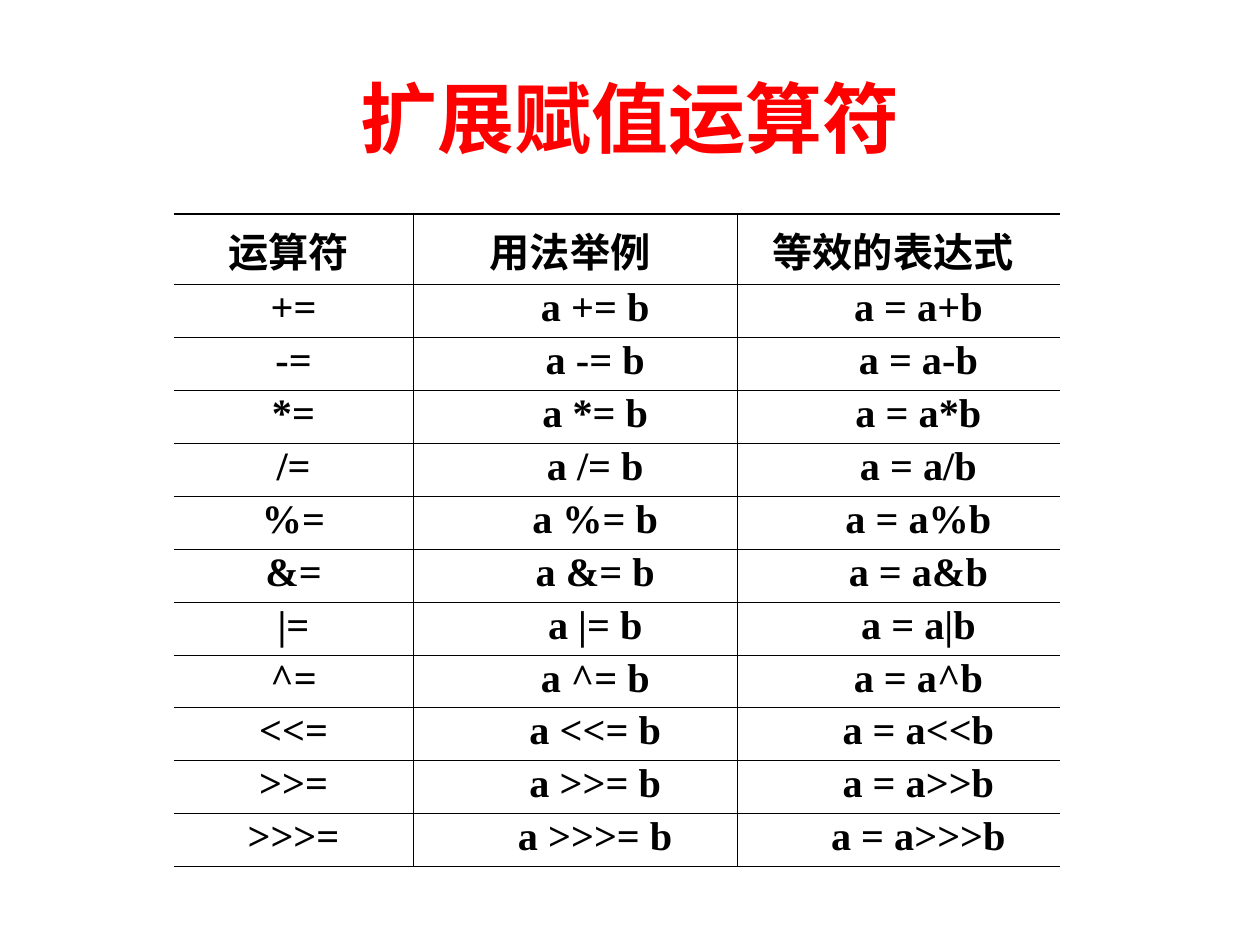
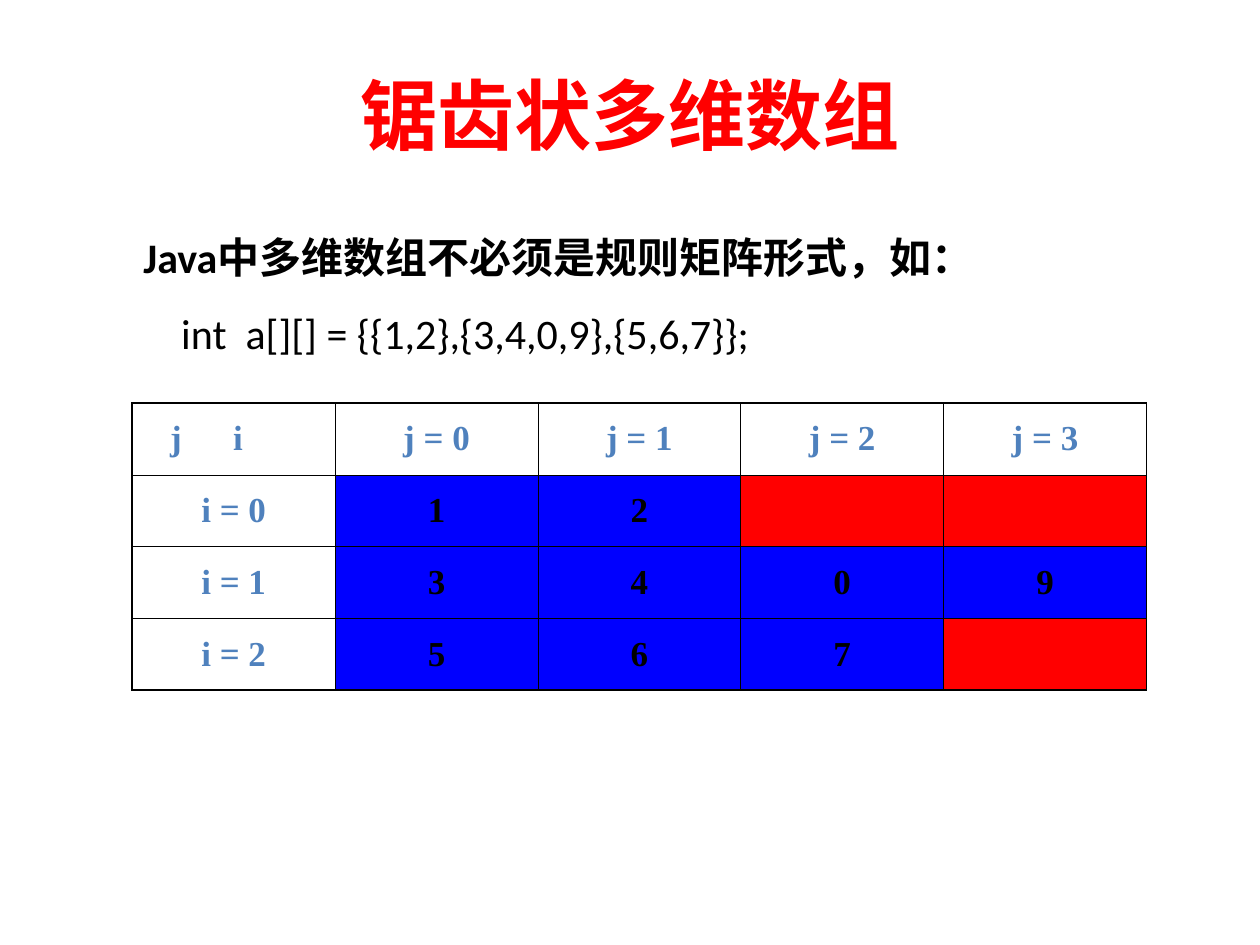
from lxml import etree
from pptx import Presentation
from pptx.dml.color import RGBColor
from pptx.enum.text import MSO_ANCHOR, PP_ALIGN
from pptx.oxml.ns import qn
from pptx.util import Inches, Pt

LEFT, CENTER = PP_ALIGN.LEFT, PP_ALIGN.CENTER
TOP, MIDDLE = MSO_ANCHOR.TOP, MSO_ANCHOR.MIDDLE
BLACK, RED, BLUE, STEEL = "000000", "FF0000", "0000FF", "4F81BD"
SERIF, SANS, CJK, PALLADIO = "Times New Roman", "Calibri", "Noto Sans CJK SC", "TeX Gyre Pagella"
THIN, THICK = 0.45, 1.08


def rgb(value):
    return RGBColor.from_string(value)


def write(p, text, size=23, font=SERIF, color=BLACK, bold=True, align=CENTER,
          spacing=None, before=0, indent=0, tab=None):
    p.alignment = align
    p.space_before = Pt(before)
    if spacing:
        p.line_spacing = spacing
    pPr = p._p.get_or_add_pPr()
    pPr.set("marL", str(Inches(indent)))
    pPr.set("indent", "0")
    if tab:
        tabs = etree.SubElement(pPr, qn("a:tabLst"))
        etree.SubElement(tabs, qn("a:tab"), pos=str(Inches(tab)), algn="l")
    r = p.add_run()
    r.text = text
    r.font.size = Pt(size)
    r.font.name = font
    r.font.bold = bold
    r.font.color.rgb = rgb(color)
    etree.SubElement(r._r.get_or_add_rPr(), qn("a:ea"), typeface=CJK)


def set_borders(cell, widths):
    tcPr = cell._tc.get_or_add_tcPr()
    for i, (side, width) in enumerate(zip("LRTB", widths)):
        ln = etree.Element(qn(f"a:ln{side}"), w=str(Pt(width)))
        if width:
            fill = etree.SubElement(ln, qn("a:solidFill"))
            etree.SubElement(fill, qn("a:srgbClr"), val=BLACK)
        else:
            etree.SubElement(ln, qn("a:noFill"))
        tcPr.insert(i, ln)


class Deck:
    def __init__(self):
        self.prs = Presentation()
        self.prs.slide_width, self.prs.slide_height = Inches(10), Inches(7.5)
        self.s = None

    def slide(self):
        self.s = self.prs.slides.add_slide(self.prs.slide_layouts[6])

    def text(self, box, paragraphs, anchor=TOP):
        sp = self.s.shapes.add_textbox(*map(Inches, box))
        tf = sp.text_frame
        tf.word_wrap = True
        tf.vertical_anchor = anchor
        for i, (text, style) in enumerate(paragraphs):
            p = tf.add_paragraph() if i else tf.paragraphs[0]
            write(p, text, **style)

    def title(self, text, box, font):
        self.text(box, [(text, dict(size=44, font=font, color=RED))], MIDDLE)

    def table(self, left, top, cols, heights, rows, style_cell, side_edge):
        frame = self.s.shapes.add_table(
            len(rows), len(cols), Inches(left), Inches(top),
            Inches(sum(cols)), Inches(sum(heights)))
        tbl = frame.table
        tbl.first_row = tbl.horz_banding = False
        for column, width in zip(tbl.columns, cols):
            column.width = Inches(width)
        for row, height in zip(tbl.rows, heights):
            row.height = Inches(height)
        for i, row in enumerate(rows):
            for j, text in enumerate(row):
                cell = tbl.cell(i, j)
                cell.vertical_anchor = MIDDLE
                cell.fill.background()
                style = style_cell(cell, i, j, text)
                if text:
                    write(cell.text_frame.paragraphs[0], text, **style)
                set_borders(cell, (
                    THIN if j else side_edge,
                    THIN if j < len(cols) - 1 else side_edge,
                    THIN if i else THICK,
                    THIN if i < len(rows) - 1 else THICK))


def style_operator(cell, i, j, text):
    if i == 0:
        cell.margin_right = Inches(0.18)
        return {}
    if j:
        cell.margin_left = Inches(0.42)
    return dict(spacing=0.8)


def style_array(cell, i, j, text):
    if i and j:
        cell.fill.solid()
        cell.fill.fore_color.rgb = rgb(BLUE if text else RED)
        return dict(size=20)
    if i == j:
        cell.margin_left = Inches(0.3)
        return dict(size=20, color=STEEL, align=LEFT, tab=1)
    return dict(size=20, color=STEEL)


def operators_slide(deck):
    deck.slide()
    deck.title("扩展赋值运算符", (0.5, 0.3, 9, 1.25), PALLADIO)
    operators = ["+", "-", "*", "/", "%", "&", "|", "^", "<<", ">>", ">>>"]
    rows = [("运算符", "用法举例", "等效的表达式")]
    rows += [(f"{op}=", f"a {op}= b", f"a = a{op}b") for op in operators]
    heights = [0.56] + [0.42] * len(operators)
    deck.table(1.38, 1.7, (1.9, 2.57, 2.56), heights, rows, style_operator, 0)


def array_slide(deck):
    deck.slide()
    deck.title("锯齿状多维数组", (0, 0.44, 10, 0.93), CJK)
    body = dict(size=24, font=SANS, align=LEFT, spacing=0.9)
    deck.text((0.96, 1.83, 7.71, 1.14), [
        ("Java中多维数组不必须是规则矩阵形式，如：", dict(body, indent=0.08)),
        ("int  a[][] = {{1,2},{3,4,0,9},{5,6,7}};",
         dict(body, bold=False, before=18, indent=0.38))])
    array = [(1, 2), (3, 4, 0, 9), (5, 6, 7)]
    size = max(map(len, array))
    rows = [["j\ti"] + [f"j = {j}" for j in range(size)]]
    for i, values in enumerate(array):
        rows.append([f"i = {i}"] + [str(v) for v in values] + [""] * (size - len(values)))
    deck.table(1.05, 3.2, [1.61] * (size + 1), [0.57] * len(rows), rows, style_array, THICK)


def main():
    deck = Deck()
    operators_slide(deck)
    array_slide(deck)
    deck.prs.save("out.pptx")


if __name__ == "__main__":
    main()
